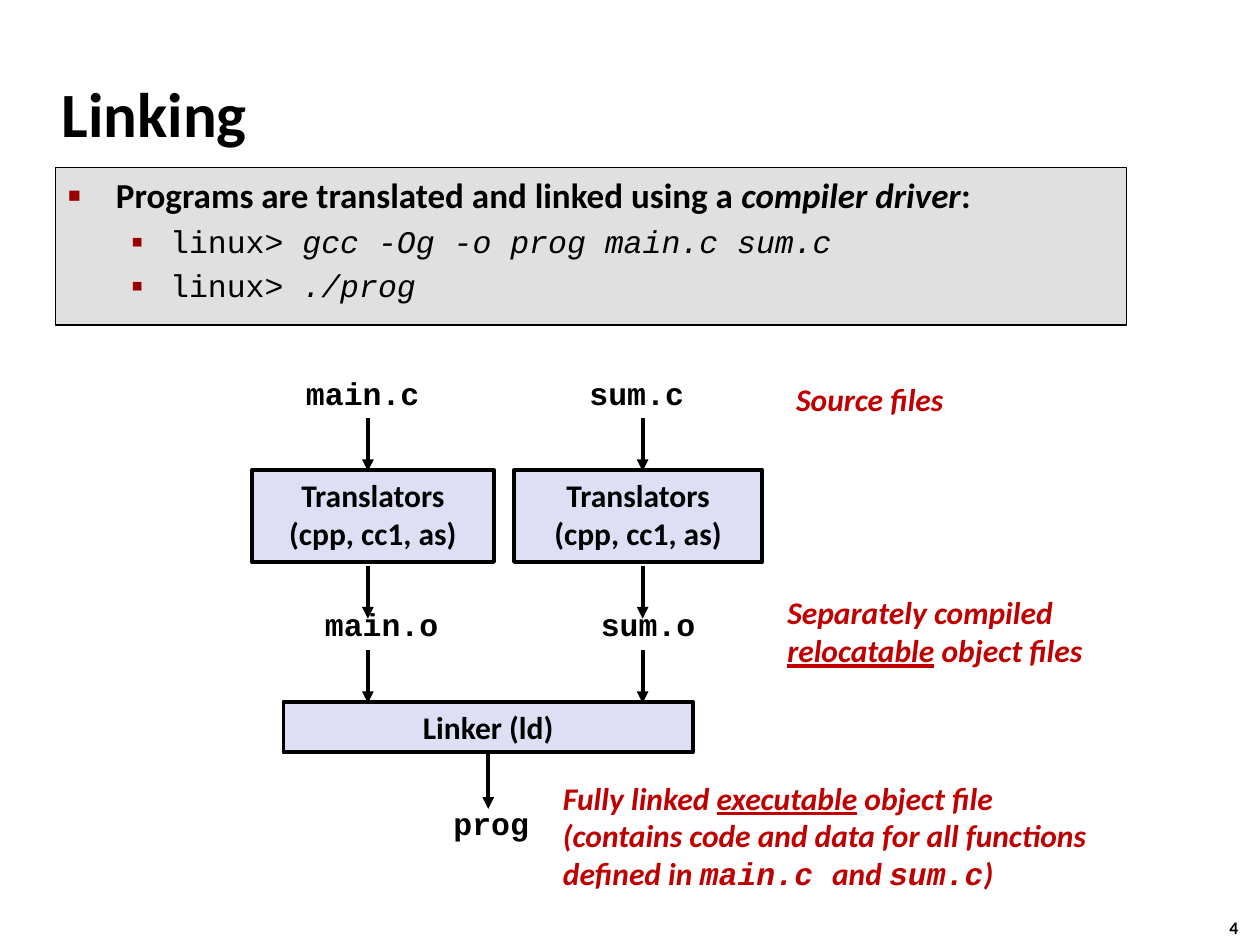
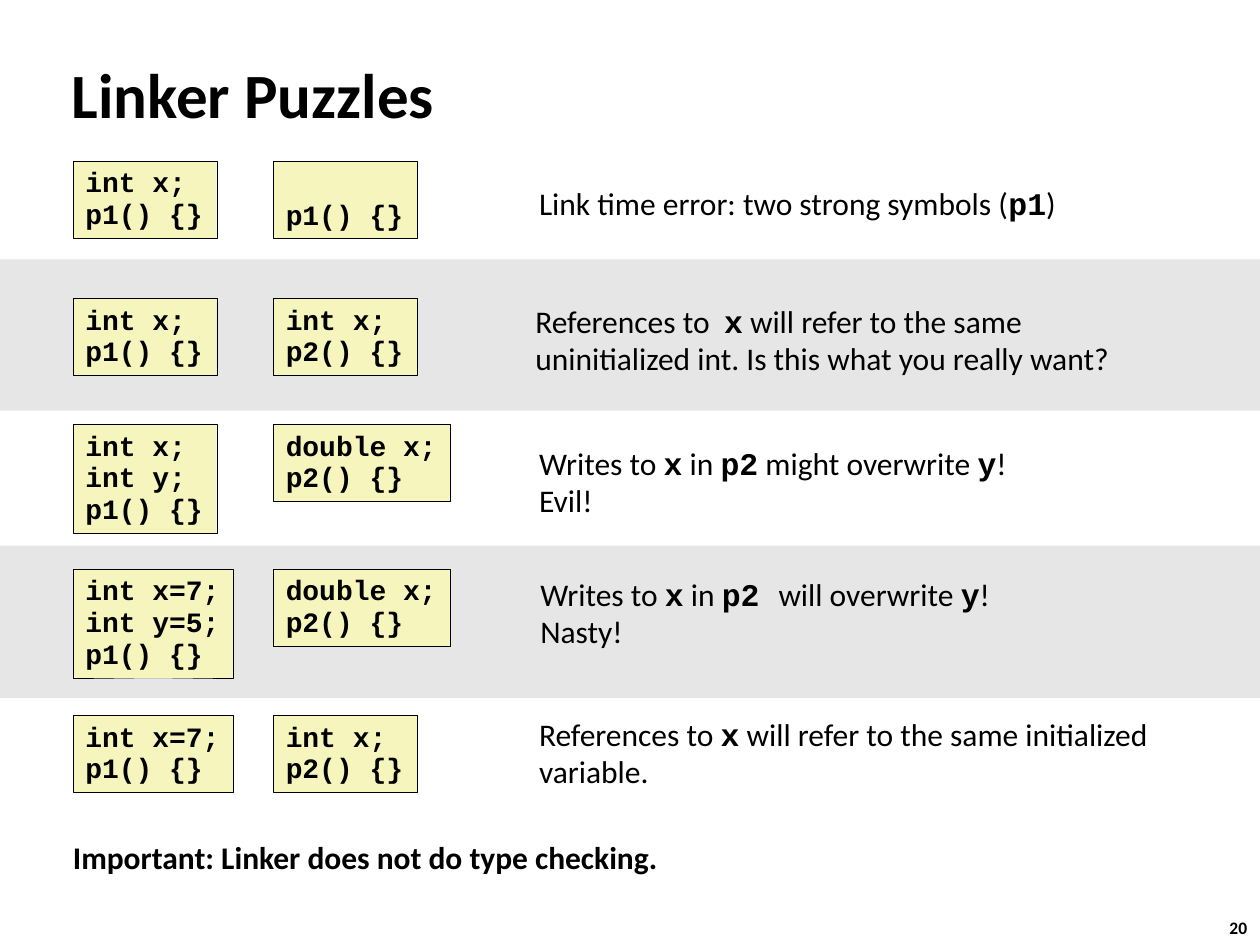
from dataclasses import dataclass, replace
from typing import Iterator, NamedTuple

from lxml import etree
from pptx import Presentation
from pptx import util as u
from pptx.dml.color import RGBColor
from pptx.enum import shapes, text
from pptx.oxml import ns

INK = {
    "black": "000000", "red": "C00000", "bullet": "990000", "panel": "E0E0E0",
    "band": "E6E6E6", "step": "DEDFF5", "code": "F6F5BD",
}
SANS, MONO = "Calibri", "Courier New"
# Inline marks: `code`, *italic*, _underline_
MARKS = "`*_"


class Box(NamedTuple):
    x: float
    y: float
    w: float
    h: float


@dataclass(frozen=True)
class Style:
    size: float = 18
    font: str = SANS
    color: str = "black"
    bold: bool = True
    italic: bool = False
    align: text.PP_ALIGN = text.PP_ALIGN.LEFT
    space: float | None = None


class Look(NamedTuple):
    fill: str
    width: float = 0


class Bullet(NamedTuple):
    char: str
    scale: int
    left: float
    hang: float


class Label(NamedTuple):
    box: Box
    words: str
    style: Style


class Step(NamedTuple):
    box: Box
    words: str


class Row(NamedTuple):
    top: float
    left: str
    right: str
    x: float
    y: float
    w: float
    note: str


HEAD = Style(36)
PAGE = Style(10)
FILE = Style(font=MONO)
STEP = Style(align=text.PP_ALIGN.CENTER)
REMARK = Style(color="red", italic=True)
CODE = Style(16, MONO, space=0.94)
NOTE = Style(bold=False, space=0.98)
SHELL = Style(font=MONO, bold=False)

BULLETS = [Bullet("■", 60, 0.38, 0.38), Bullet("▪", 110, 0.81, 0.31)]
DRIVER = [
    (0, "Programs are translated and linked using a *compiler driver*:", Style(20)),
    (1, "linux> *gcc -Og -o prog main.c sum.c*", SHELL),
    (1, "linux> *./prog*", SHELL),
]
LINKER = Step(Box(2.25, 5.57, 3.25, 0.4), "Linker (ld)")
TRANS = "Translators\n(cpp, cc1, as)"
STEPS = [Step(Box(2, 3.73, 1.92, 0.73), TRANS), Step(Box(4.08, 3.73, 1.97, 0.73), TRANS)]
LABELS = [
    Label(Box(2.33, 2.92, 1.11, 0.4), "main.c", FILE),
    Label(Box(4.58, 2.92, 0.96, 0.4), "sum.c", FILE),
    Label(Box(2.48, 4.75, 1.11, 0.4), "main.o", FILE),
    Label(Box(4.67, 4.75, 0.96, 0.4), "sum.o", FILE),
    Label(Box(3.5, 6.33, 0.81, 0.4), "prog", FILE),
    Label(Box(6.22, 2.97, 1.44, 0.4), "Source files", REMARK),
    Label(Box(6.15, 4.66, 2.63, 0.71),
          "Separately compiled\n_relocatable_ object files", REMARK),
    Label(Box(4.37, 6.13, 4.46, 1.01),
          "Fully linked _executable_ object file\n"
          "(contains code and data for all functions\n"
          "defined in `main.c `and `sum.c`)", REMARK),
]
LANES, DROPS, DROP = (2.92, 5.1), (3.32, 4.49, 5.16), 0.42

ROWS = [
    Row(1.28, "int x;\np1() {}", "p1() {}", 4.18, 1.43, 4.43,
        "Link time error: two strong symbols (`p1`)"),
    Row(2.37, "int x;\np1() {}", "int x;\np2() {}", 4.15, 2.36, 4.81,
        "References to  `x` will refer to the same\n"
        "uninitialized int. Is this what you really want?"),
    Row(3.37, "int x;\nint y;\np1() {}", "double x;\np2() {}", 4.18, 3.49, 3.95,
        "Writes to `x` in `p2` might overwrite `y`!\nEvil!"),
    Row(4.52, "int x=7;\nint y=5;\np1() {}", "double x;\np2() {}", 4.19, 4.53, 3.8,
        "Writes to `x` in `p2 `will overwrite `y`!\nNasty!"),
    Row(5.68, "int x=7;\np1() {}", "int x;\np2() {}", 4.18, 5.64, 5.09,
        "References to `x` will refer to the same initialized\nvariable."),
]
COLS = (0.58, 2.17)
BANDS = [Box(0, 2.06, 10, 1.2), Box(0, 4.33, 10, 1.21)]


def rgb(name: str) -> RGBColor:
    return RGBColor.from_string(INK[name])


def place(shape, box: Box) -> None:
    for key, val in zip(("left", "top", "width", "height"), box):
        setattr(shape, key, u.Inches(val))


def split(line: str) -> Iterator[tuple[str, set[str]]]:
    """Yield each stretch of a line with the marks that hold there."""
    marks, part = set(), ""
    for char in line:
        if char in MARKS:
            if part:
                yield part, set(marks)
            marks ^= {char}
            part = ""
        else:
            part += char
    if part:
        yield part, marks


def fill_para(para, line: str, style: Style) -> None:
    para.alignment = style.align
    if style.space:
        para.line_spacing = style.space
    for part, marks in split(line):
        run = para.add_run()
        run.text = part
        form = {
            "size": u.Pt(style.size),
            "name": MONO if "`" in marks else style.font,
            "bold": style.bold or "`" in marks,
            "italic": style.italic or "*" in marks,
            "underline": "_" in marks,
        }
        for key, val in form.items():
            setattr(run.font, key, val)
        run.font.color.rgb = rgb(style.color)


def write(shape, words: str, style: Style, **form) -> None:
    """Fill a shape with lines; form overrides the frame settings."""
    frame = shape.text_frame
    base = {
        "word_wrap": False,
        "auto_size": text.MSO_AUTO_SIZE.SHAPE_TO_FIT_TEXT,
        "vertical_anchor": text.MSO_ANCHOR.TOP,
    }
    for key, val in (base | form).items():
        setattr(frame, key, val)
    for i, line in enumerate(words.split("\n")):
        para = frame.add_paragraph() if i else frame.paragraphs[0]
        fill_para(para, line, style)


def paint(shape, look: Look) -> None:
    shape.fill.solid()
    shape.fill.fore_color.rgb = rgb(look.fill)
    if look.width:
        shape.line.color.rgb = rgb("black")
        shape.line.width = u.Pt(look.width)
    else:
        shape.line.fill.background()


def add_rect(slide, box: Box, look: Look):
    shape = slide.shapes.add_shape(
        shapes.MSO_SHAPE.RECTANGLE, *(u.Inches(val) for val in box))
    shape.shadow.inherit = False
    paint(shape, look)
    return shape


def add_label(slide, label: Label) -> None:
    shape = slide.shapes.add_textbox(*(u.Inches(val) for val in label.box))
    write(shape, label.words, label.style)


def add_arrow(slide, x: float, y: float):
    """Draw a short arrow straight down from x, y."""
    line = slide.shapes.add_connector(
        shapes.MSO_CONNECTOR.STRAIGHT,
        *(u.Inches(val) for val in (x, y, x, y + DROP)))
    line.line.color.rgb = rgb("black")
    line.line.width = u.Pt(2.25)
    etree.SubElement(line.line._get_or_add_ln(), ns.qn("a:tailEnd"), type="triangle")
    etree.SubElement(line._element.spPr, ns.qn("a:effectLst"))
    return line


def add_bullet(para, mark: Bullet) -> None:
    props = para._p.get_or_add_pPr()
    props.set("marL", str(u.Inches(mark.left)))
    props.set("indent", str(-u.Inches(mark.hang)))
    tint = etree.SubElement(props, ns.qn("a:buClr"))
    etree.SubElement(tint, ns.qn("a:srgbClr"), val=INK["bullet"])
    etree.SubElement(props, ns.qn("a:buSzPct"), val=str(mark.scale * 1000))
    etree.SubElement(props, ns.qn("a:buFont"), typeface="Arial")
    etree.SubElement(props, ns.qn("a:buChar"), char=mark.char)


def add_slide(deck, layout: int, title: str, box: Box, page: int):
    slide = deck.slides.add_slide(deck.slide_layouts[layout])
    head = slide.shapes.title
    place(head, box)
    write(head, title, HEAD, word_wrap=True, auto_size=text.MSO_AUTO_SIZE.NONE,
          vertical_anchor=text.MSO_ANCHOR.MIDDLE)
    add_label(slide, Label(Box(9.66, 7.23, 0.37, 0.27), str(page), PAGE))
    return slide


def add_linking(deck) -> None:
    slide = add_slide(deck, 1, "Linking", Box(0.39, 0.48, 8.3, 0.83), 4)
    body = slide.placeholders[1]
    place(body, Box(0.44, 1.33, 8.5, 1.25))
    paint(body, Look("panel", 0.75))
    frame = body.text_frame
    frame.auto_size = text.MSO_AUTO_SIZE.NONE
    for i, (level, line, style) in enumerate(DRIVER):
        para = frame.add_paragraph() if i else frame.paragraphs[0]
        para.level = level
        fill_para(para, line, style)
        add_bullet(para, BULLETS[level])

    for step in [*STEPS, LINKER]:
        rect = add_rect(slide, step.box, Look("step", 2.25))
        write(rect, step.words, STEP, word_wrap=True)
    for label in LABELS:
        add_label(slide, label)
    for x in LANES:
        for y in DROPS:
            add_arrow(slide, x, y)
    low = LINKER.box
    out = add_arrow(slide, low.x + low.w / 2, low.y + low.h + 0.03)
    out.begin_connect(rect, 2)


def add_code(slide, x: float, y: float, words: str, rows: int) -> None:
    """Draw a code box sized by its text, which rests on the last row."""
    lines = words.split("\n")
    wide = max(map(len, lines)) * 0.133 + 0.21
    rect = add_rect(slide, Box(x, y, wide, rows * 0.25 + 0.11), Look("code", 0.25))
    form = {}
    if len(lines) < rows:
        form = {"auto_size": text.MSO_AUTO_SIZE.NONE,
                "vertical_anchor": text.MSO_ANCHOR.BOTTOM}
    write(rect, words, CODE, **form)


def add_puzzles(deck) -> None:
    slide = add_slide(deck, 5, "Linker Puzzles", Box(0.47, 0.31, 9.53, 0.86), 20)
    for band in BANDS:
        add_rect(slide, band, Look("band"))
    for row in ROWS:
        for x, words in zip(COLS, (row.left, row.right)):
            add_code(slide, x, row.top, words, max(2, words.count("\n") + 1))
        high = 0.7 if "\n" in row.note else 0.4
        add_label(slide, Label(Box(row.x, row.y, row.w, high), row.note, NOTE))
    add_label(slide, Label(Box(0.48, 6.62, 4.88, 0.4),
                           "Important: Linker does not do type checking.",
                           replace(NOTE, bold=True)))


def main() -> None:
    deck = Presentation()
    deck.slide_width, deck.slide_height = u.Inches(10), u.Inches(7.5)
    add_linking(deck)
    add_puzzles(deck)
    deck.save("out.pptx")


if __name__ == "__main__":
    main()
